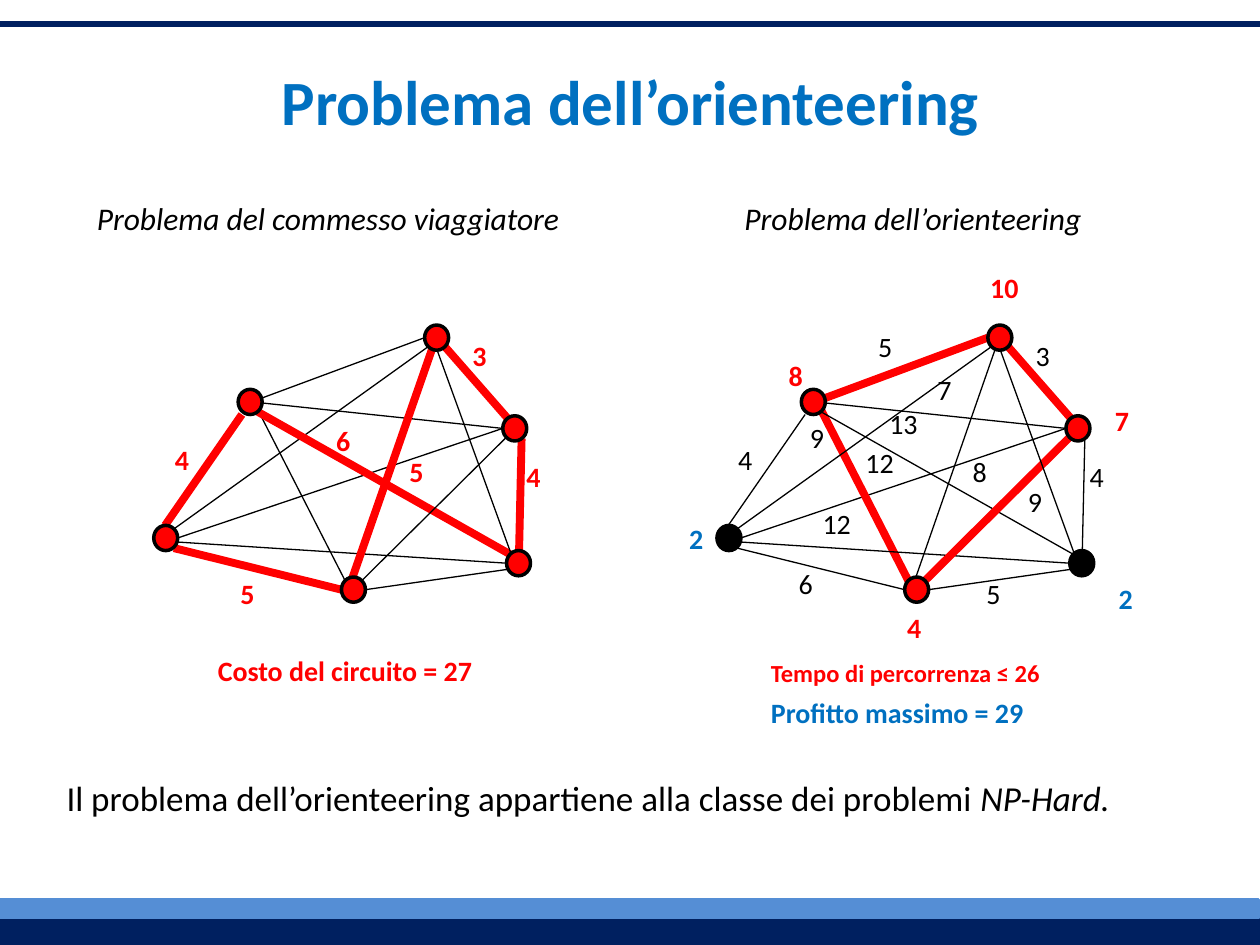
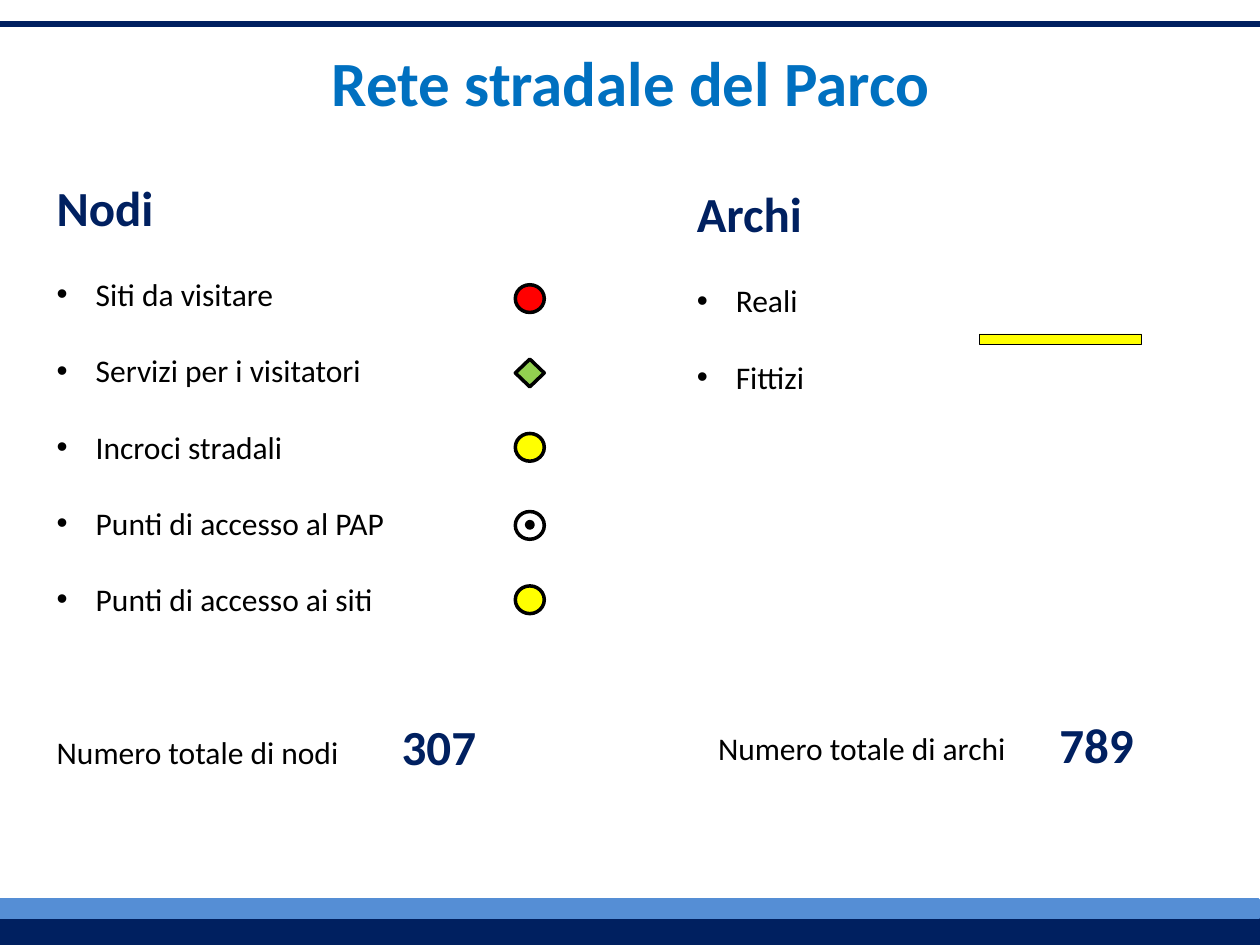
"""Build two slides on the orienteering problem and the road network of the park."""
from dataclasses import dataclass
from typing import NamedTuple

from lxml import etree
from pptx import Presentation
from pptx.dml.color import RGBColor
from pptx.enum.shapes import MSO_CONNECTOR, MSO_SHAPE
from pptx.enum.text import MSO_ANCHOR, MSO_AUTO_SIZE
from pptx.oxml.ns import qn
from pptx.util import Pt

PX = 9144
WIDTH, HEIGHT = 1000, 750
FONT = "Calibri"
NAVY = RGBColor(0x00, 0x20, 0x60)
SKY = RGBColor(0x55, 0x8E, 0xD5)
BLUE = RGBColor(0x00, 0x70, 0xC0)
RED = RGBColor(0xFF, 0x00, 0x00)
YELLOW = RGBColor(0xFF, 0xFF, 0x00)
GREEN = RGBColor(0x92, 0xD0, 0x50)
BLACK = RGBColor(0x00, 0x00, 0x00)
WHITE = RGBColor(0xFF, 0xFF, 0xFF)
RECT, OVAL, DIAMOND = MSO_SHAPE.RECTANGLE, MSO_SHAPE.OVAL, MSO_SHAPE.DIAMOND
STRAIGHT = MSO_CONNECTOR.STRAIGHT
TOP, NO_FIT = MSO_ANCHOR.TOP, MSO_AUTO_SIZE.NONE

TITLE = dict(size=Pt(36), bold=True)
HEADING = dict(size=Pt(28), bold=True)
BODY = dict(size=Pt(18), bold=False)
CAPTION = dict(size=Pt(18), italic=True)
WEIGHT = dict(size=Pt(16))
STRONG = dict(size=Pt(16), bold=True)
SMALL = dict(size=Pt(14), bold=True)
NOTE = dict(size=Pt(20))
NOTE_ITALIC = dict(size=Pt(20), italic=True)


class Box(NamedTuple):
    x: int
    y: int
    w: int
    h: int


class Label(NamedTuple):
    text: str
    x: int
    y: int
    color: RGBColor = BLACK


@dataclass
class Graph:
    dx: int
    tour: set[str]
    skipped: str
    labels: list[Label]


NODES = {"A": (189, 309), "B": (337, 258), "C": (399, 330),
         "D": (402, 437), "E": (271, 458), "F": (122, 417)}
EDGES = {
    "FC": (141, 427, 399, 340), "FE": (138, 435, 271, 468),
    "BC": (353, 275, 416, 347), "FA": (131, 417, 192, 329),
    "AB": (205, 317, 337, 268), "AE": (205, 326, 274, 461),
    "FB": (128, 427, 340, 275), "FD": (122, 429, 402, 447),
    "AC": (200, 319, 399, 340), "AD": (196, 322, 405, 440),
    "CD": (414, 348, 412, 437), "DE": (409, 451, 290, 468),
    "CE": (402, 347, 287, 461), "BD": (347, 278, 412, 457),
    "BE": (345, 271, 274, 475),
}
SALESMAN = Graph(0, {"FE", "BC", "FA", "AD", "CD", "BE"}, "", [
    Label("4", 129, 346, RED), Label("6", 257, 331, RED),
    Label("3", 365, 264, RED), Label("4", 408, 360, RED),
    Label("5", 315, 356, RED), Label("5", 181, 453, RED),
])
ORIENTEERING = Graph(447, {"BC", "AB", "AE", "CE"}, "DF", [
    Label("5", 687, 257), Label("4", 576, 346), Label("6", 624, 445),
    Label("3", 812, 264), Label("5", 773, 453), Label("4", 855, 360),
    Label("12", 643, 397), Label("12", 677, 349), Label("9", 633, 329),
    Label("8", 762, 356), Label("7", 734, 291), Label("9", 806, 380),
    Label("13", 696, 318),
    Label("8", 616, 280, RED), Label("2", 537, 409, BLUE),
    Label("4", 710, 480, RED), Label("10", 776, 210, RED),
    Label("7", 875, 315, RED), Label("2", 878, 457, BLUE),
])
NODE_KINDS = [
    ("Siti da visitare", OVAL, RED, 226),
    ("Servizi per i visitatori", DIAMOND, GREEN, 285),
    ("Incroci stradali", OVAL, YELLOW, 344),
    ("Punti di accesso al PAP", OVAL, WHITE, 406),
    ("Punti di accesso ai siti", OVAL, YELLOW, 465),
]


def add_run(p, text: str, fmt: dict, color: RGBColor) -> None:
    r = p.add_run()
    r.text = text
    for name, value in {"name": FONT, **fmt}.items():
        setattr(r.font, name, value)
    r.font.color.rgb = color


def add_text(slide, box: Box, text: str, fmt: dict, color: RGBColor = BLACK):
    tf = slide.shapes.add_textbox(*(v * PX for v in box)).text_frame
    tf.word_wrap = True
    tf.margin_right = 0
    add_run(tf.paragraphs[0], text, fmt, color)
    return tf


def add_shape(slide, kind, box: Box, fill: RGBColor, line: RGBColor = BLACK,
              width: float = 2) -> None:
    sp = slide.shapes.add_shape(kind, *(v * PX for v in box))
    sp.shadow.inherit = False
    sp.fill.solid()
    sp.fill.fore_color.rgb = fill
    sp.line.color.rgb = line
    sp.line.width = Pt(width)


def add_line(slide, ends: tuple, color: RGBColor, width: float) -> None:
    line = slide.shapes.add_connector(STRAIGHT, *(v * PX for v in ends))
    line.line.color.rgb = color
    line.line.width = Pt(width)
    etree.SubElement(line.element.spPr, qn("a:effectLst"))


def place(sp, box: Box) -> None:
    for name, value in zip(("left", "top", "width", "height"), box):
        setattr(sp, name, value * PX)


def new_slide(prs, layout: int, title: str, box: Box):
    slide = prs.slides.add_slide(prs.slide_layouts[layout])
    add_line(slide, (0, 19, WIDTH, 19), NAVY, 3)
    add_shape(slide, RECT, Box(0, 728, WIDTH, 22), NAVY, NAVY)
    add_shape(slide, RECT, Box(-1, 714, WIDTH, 14), SKY, SKY)
    sp = slide.shapes.title
    place(sp, box)
    sp.text_frame.auto_size = NO_FIT
    add_run(sp.text_frame.paragraphs[0], title, TITLE, BLUE)
    return slide


def draw_graph(slide, graph: Graph) -> None:
    for name, (x1, y1, x2, y2) in EDGES.items():
        color, width = (RED, 4.5) if name in graph.tour else (BLACK, 0.75)
        add_line(slide, (x1 + graph.dx, y1, x2 + graph.dx, y2), color, width)
    for name, (x, y) in NODES.items():
        fill = BLACK if name in graph.skipped else RED
        add_shape(slide, OVAL, Box(x + graph.dx, y, 19, 20), fill)
    for text, x, y, color in graph.labels:
        fmt = WEIGHT if color == BLACK else STRONG
        add_text(slide, Box(x, y, 22 + 10 * len(text), 37), text, fmt, color)


def add_item(p, text: str, fmt: dict, color: RGBColor, before: int,
             bullet: bool) -> None:
    p.space_before = Pt(before)
    pPr = p._p.get_or_add_pPr()
    indent = 31 * PX if bullet else 0
    pPr.set("marL", str(indent))
    pPr.set("indent", str(-indent))
    if not bullet:
        etree.SubElement(pPr, qn("a:buNone"))
    add_run(p, text, fmt, color)


def fill_list(sp, box: Box, heading: str, items: list[str], total: str = "") -> None:
    place(sp, box)
    tf = sp.text_frame
    tf.auto_size = NO_FIT
    tf.vertical_anchor = TOP
    add_item(tf.paragraphs[0], heading, HEADING, NAVY, 0, False)
    for item in items:
        add_item(tf.add_paragraph(), item, BODY, BLACK, 22, True)
    if total:
        add_item(tf.add_paragraph(), total, BODY, BLACK, 66, False)


def build_problem(prs) -> None:
    slide = new_slide(prs, 5, "Problema dell’orienteering", Box(30, 44, 941, 71))
    add_text(slide, Box(67, 153, 410, 40), "Problema del commesso viaggiatore", CAPTION)
    add_text(slide, Box(581, 153, 400, 40), "Problema dell’orienteering", CAPTION)
    for graph in (SALESMAN, ORIENTEERING):
        draw_graph(slide, graph)
    add_text(slide, Box(163, 514, 225, 37), "Costo del circuito = 27", STRONG, RED)
    add_text(slide, Box(602, 517, 246, 34), "Tempo di percorrenza ≤ 26", SMALL, RED)
    add_text(slide, Box(602, 547, 231, 37), "Profitto massimo = 29", STRONG, BLUE)
    tf = add_text(slide, Box(43, 611, 950, 44),
                  "Il problema dell’orienteering appartiene alla classe dei problemi ", NOTE)
    add_run(tf.paragraphs[0], "NP-Hard.", NOTE_ITALIC, BLACK)


def build_network(prs) -> None:
    slide = new_slide(prs, 3, "Rete stradale del Parco", Box(87, 29, 827, 71))
    nodes, arcs = slide.placeholders[1], slide.placeholders[2]
    fill_list(nodes, Box(35, 136, 496, 542), "Nodi",
              [kind[0] for kind in NODE_KINDS], "Numero totale di nodi")
    fill_list(arcs, Box(543, 141, 440, 512), "Archi", ["Reali", "Fittizi"])
    for _, kind, fill, y in NODE_KINDS:
        add_shape(slide, kind, Box(409, y, 23, 22), fill)
    add_shape(slide, OVAL, Box(418, 414, 5, 5), BLACK)
    add_shape(slide, RECT, Box(777, 265, 129, 8), YELLOW, BLACK, 0.25)
    add_text(slide, Box(309, 564, 80, 57), "307", HEADING, NAVY)
    add_text(slide, Box(831, 562, 80, 57), "789", HEADING, NAVY)
    add_text(slide, Box(560, 574, 248, 40), "Numero totale di archi", BODY)


def main() -> None:
    prs = Presentation()
    prs.slide_width, prs.slide_height = WIDTH * PX, HEIGHT * PX
    build_problem(prs)
    build_network(prs)
    prs.save("out.pptx")


if __name__ == "__main__":
    main()
